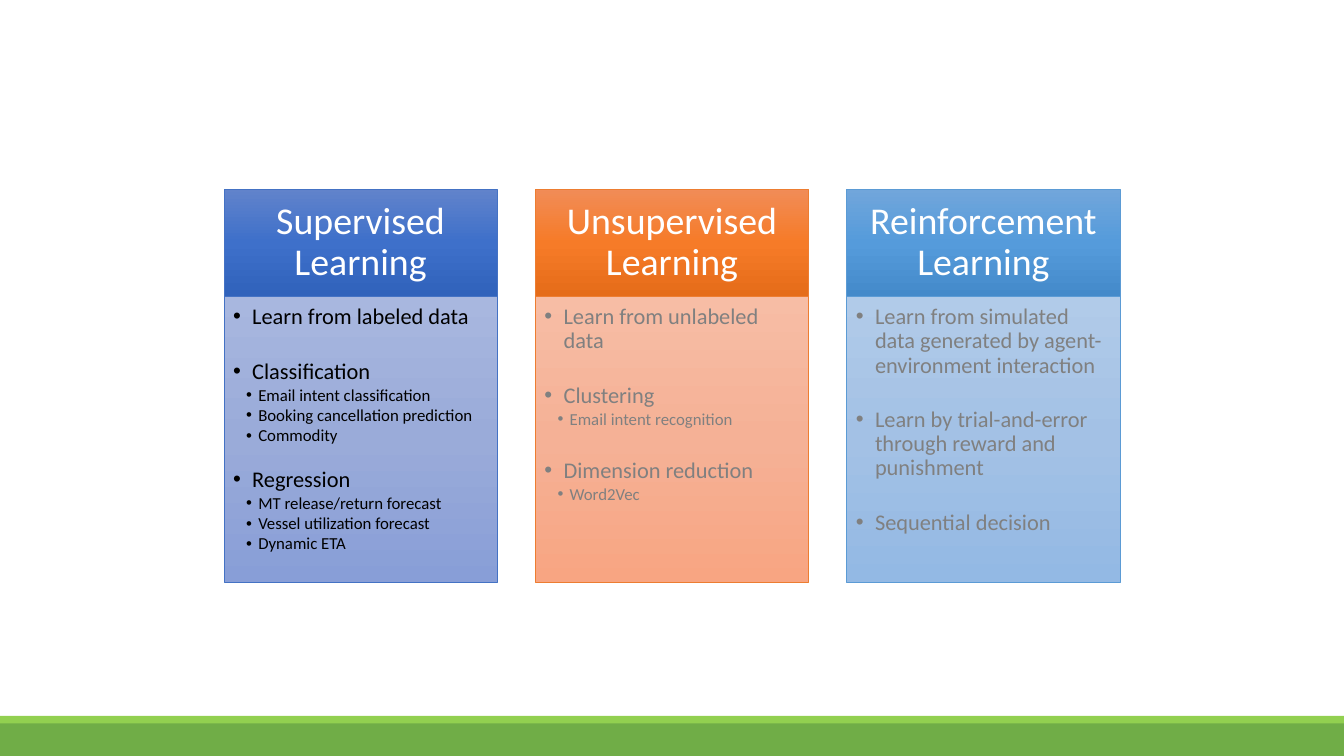
from copy import deepcopy

from lxml.etree import SubElement
from pptx import Presentation
from pptx.dml.color import RGBColor
from pptx.enum.shapes import MSO_SHAPE as Preset
from pptx.enum.text import MSO_ANCHOR as Anchor, PP_ALIGN as Align
from pptx.oxml.ns import qn
from pptx.util import Inches, Pt

CARD_RATIO = 1.14
CARD_WIDTH = (2 / 3) / (1 + 2 * CARD_RATIO)
HEAD_TOP, BODY_TOP, BODY_END = 0.25, 0.392, 0.77

CARDS = [
    ("Supervised Learning", "4472C4", "000000",
     ("6183CB", "3E70CA", "3062BB"), ("A8B7DF", "9AABD9", "889ED7"),
     [(1, "Learn from labeled data", 0),
      (1, "Classification", 19.6),
      (2, "Email intent classification", 0),
      (2, "Booking cancellation prediction", 0),
      (2, "Commodity", 0),
      (1, "Regression", 14.6),
      (2, "MT release/return forecast", 0),
      (2, "Vessel utilization forecast", 0),
      (2, "Dynamic ETA", 0)]),
    ("Unsupervised Learning", "ED7D31", "808080",
     ("F18C57", "F67B28", "E56C19"), ("F7BDA5", "F5B196", "F8A582"),
     [(1, "Learn from unlabeled data", 0),
      (1, "Clustering", 19.6),
      (2, "Email intent recognition", 0),
      (1, "Dimension reduction", 19.6),
      (2, "Word2Vec", 0)]),
    ("Reinforcement Learning", "5B9BD5", "808080",
     ("71A6DB", "559BDB", "448ACA"), ("B1CBE9", "A3C1E5", "93B9E4"),
     [(1, "Learn from simulated data generated by agent-environment interaction", 0),
      (1, "Learn by trial-and-error through reward and punishment", 19.6),
      (1, "Sequential decision", 19.6)]),
]


def color(value):
    return RGBColor.from_string(value)


class Slide:
    font_name = "Calibri"
    heading_size = 27
    levels = {1: (16, 0.19, 0.19, 2), 2: (12, 0.25, 0.12, 1.5)}

    def __init__(self, deck):
        self.width, self.height = deck.slide_width, deck.slide_height
        self.page = deck.slides.add_slide(deck.slide_layouts[6])

    def box(self, left, top, width, height):
        shape = self.page.shapes.add_shape(
            Preset.RECTANGLE, round(left * self.width), round(top * self.height),
            round(width * self.width), round(height * self.height))
        shape.shadow.inherit = False
        return shape

    def band(self, top, height, fill):
        shape = self.box(0, top, 1, height)
        shape.fill.solid()
        shape.fill.fore_color.rgb = color(fill)
        shape.line.fill.background()

    def panel(self, left, top, height, shades, edge, insets, anchor):
        shape = self.box(left, top, CARD_WIDTH, height)
        shape.fill.gradient()
        shape.fill.gradient_angle = 270
        stop_list = shape._element.spPr.find(qn("a:gradFill")).find(qn("a:gsLst"))
        stop_list.insert(1, deepcopy(stop_list[0]))
        for stop, shade, position in zip(shape.fill.gradient_stops, shades, (0, 0.5, 1)):
            stop.color.rgb = color(shade)
            stop.position = position
        shape.line.color.rgb = color(edge)
        shape.line.width = Pt(0.5)
        frame = shape.text_frame
        frame.word_wrap = True
        frame.vertical_anchor = anchor
        (frame.margin_left, frame.margin_top,
         frame.margin_right, frame.margin_bottom) = map(Inches, insets)
        return frame

    def style(self, para, size, ink, align):
        para.alignment = align
        para.line_spacing = 0.9
        para.font.name = self.font_name
        para.font.size = Pt(size)
        para.font.color.rgb = color(ink)

    def heading(self, left, text, shades, edge):
        frame = self.panel(left, HEAD_TOP, BODY_TOP - HEAD_TOP, shades, edge,
                           (0.21, 0.12, 0.21, 0.12), Anchor.MIDDLE)
        para = frame.paragraphs[0]
        para.text = text
        self.style(para, self.heading_size, "FFFFFF", Align.CENTER)

    def bullets(self, left, items, shades, edge, ink):
        frame = self.panel(left, BODY_TOP, BODY_END - BODY_TOP, shades, edge,
                           (0.09, 0.09, 0.12, 0.14), Anchor.TOP)
        for index, (level, text, gap) in enumerate(items):
            para = frame.add_paragraph() if index else frame.paragraphs[0]
            para.text = text
            para.level = level
            size, indent, hanging, after = self.levels[level]
            props = para._p.get_or_add_pPr()
            props.set("marL", str(Inches(indent)))
            props.set("indent", str(-Inches(hanging)))
            SubElement(props, qn("a:buFont"), typeface="Arial")
            SubElement(props, qn("a:buChar"), char="•")
            if gap:
                para.space_before = Pt(gap)
            para.space_after = Pt(after)
            self.style(para, size, ink, Align.LEFT)


def main():
    deck = Presentation()
    deck.slide_width, deck.slide_height = Inches(13.33), Inches(7.5)
    slide = Slide(deck)
    slide.band(0.956, 0.044, "70AD47")
    slide.band(0.947, 0.01, "92D050")
    for index, (title, edge, ink, head_shades, body_shades, items) in enumerate(CARDS):
        left = 1 / 6 + index * CARD_WIDTH * CARD_RATIO
        slide.heading(left, title, head_shades, edge)
        slide.bullets(left, items, body_shades, edge, ink)
    deck.save("out.pptx")


if __name__ == "__main__":
    main()
